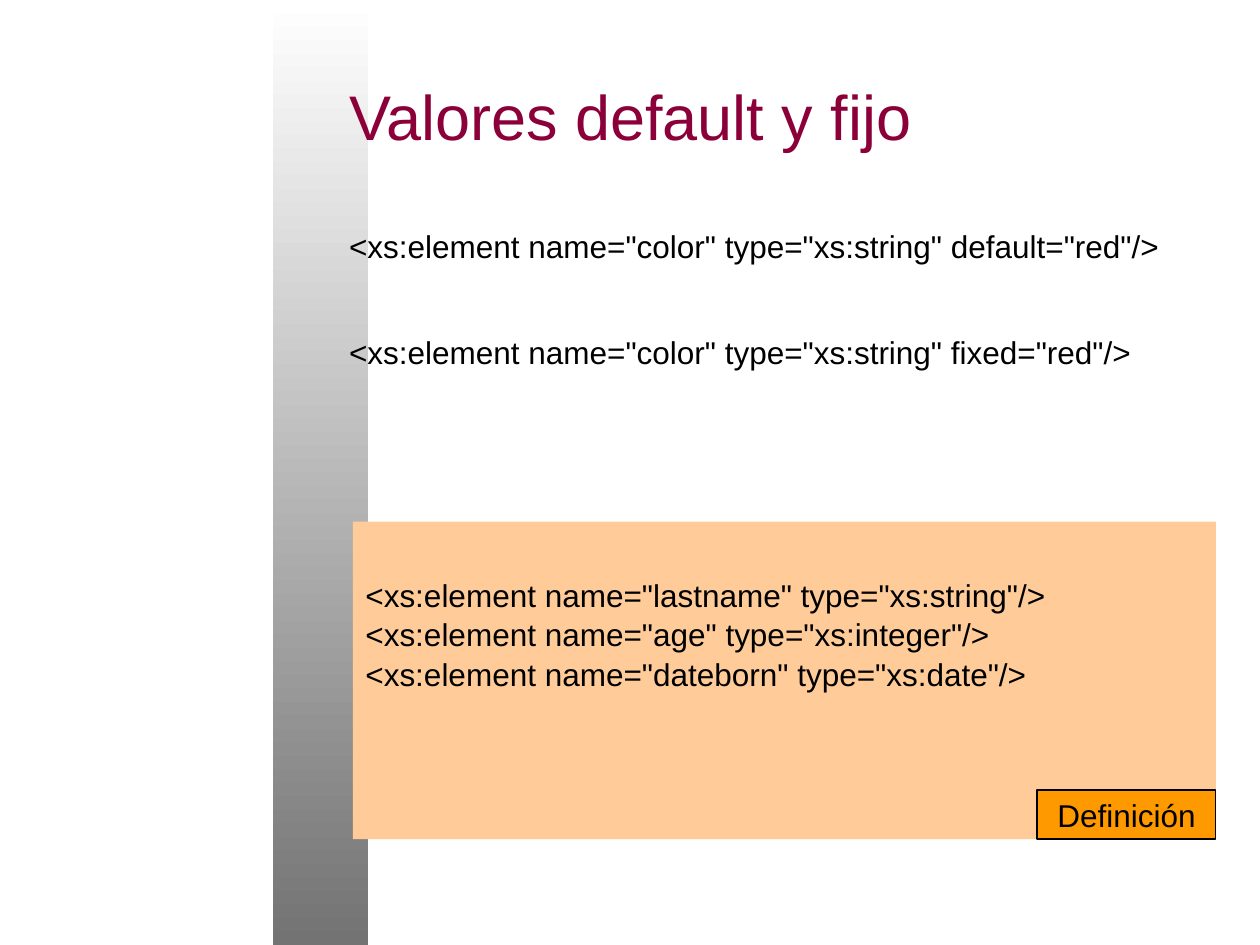
import pptx
import pptx.dml.color
import pptx.enum.shapes
import pptx.enum.text
import pptx.oxml
import pptx.util
from pptx.util import Inches

FONT = "Arial"
COLORS = {
    "background": "FFFFFF",
    "title": "8C0039",
    "text": "000000",
    "band_top": "FFFFFF",
    "band_bottom": "737373",
    "code_panel": "FFCC99",
    "label": "FF9900",
}
ATTRIBUTE_EXAMPLES = [
    '<xs:element name="color" type="xs:string" default="red"/>',
    '<xs:element name="color" type="xs:string" fixed="red"/>',
]
DEFINITIONS = [
    '<xs:element name="lastname" type="xs:string"/>',
    '<xs:element name="age" type="xs:integer"/>',
    '<xs:element name="dateborn" type="xs:date"/>',
]


def rgb(name):
    return pptx.dml.color.RGBColor.from_string(COLORS[name])


def fill_solid(shape, color):
    shape.fill.solid()
    shape.fill.fore_color.rgb = rgb(color)


def place(shape, left, top, width, height):
    shape.left, shape.top = Inches(left), Inches(top)
    shape.width, shape.height = Inches(width), Inches(height)


def format_paragraph(paragraph, size, color, alignment):
    paragraph.alignment = alignment
    paragraph.space_before = pptx.util.Pt(0)
    paragraph.font.name = FONT
    paragraph.font.size = pptx.util.Pt(size)
    paragraph.font.color.rgb = rgb(color)


def write_text(shape, lines, size=18, color="text", gap=0,
               alignment=pptx.enum.text.PP_ALIGN.LEFT):
    frame = shape.text_frame
    frame.auto_size = pptx.enum.text.MSO_AUTO_SIZE.NONE
    frame.text = "\n".join(lines)
    for index, paragraph in enumerate(frame.paragraphs):
        if shape.is_placeholder:
            properties = paragraph._p.get_or_add_pPr()
            properties.set("marL", "0")
            properties.set("indent", "0")
            properties.append(pptx.oxml.parse_xml(
                '<a:buNone xmlns:a="http://schemas.openxmlformats.org/drawingml/2006/main"/>'))
        format_paragraph(paragraph, size, color, alignment)
        if index:
            paragraph.space_before = pptx.util.Pt(gap)


def add_rectangle(slide, left, top, width, height):
    shape = slide.shapes.add_shape(
        pptx.enum.shapes.MSO_SHAPE.RECTANGLE,
        Inches(left), Inches(top), Inches(width), Inches(height))
    shape.shadow.inherit = False
    return shape


def add_band(slide):
    band = add_rectangle(slide, 2.17, 0, 0.75, 7.5)
    band.line.fill.background()
    band.fill.gradient()
    band.fill.gradient_angle = 270
    for stop, color in zip(band.fill.gradient_stops, ("band_top", "band_bottom")):
        stop.color.rgb = rgb(color)
    slide.shapes._spTree.insert(2, band._element)


def add_label(slide, text):
    label = add_rectangle(slide, 8.23, 6.27, 1.42, 0.39)
    fill_solid(label, "label")
    label.line.color.rgb = rgb("text")
    label.line.width = pptx.util.Pt(0.75)
    label.text_frame.word_wrap = False
    label.text_frame.vertical_anchor = pptx.enum.text.MSO_ANCHOR.MIDDLE
    write_text(label, [text], alignment=pptx.enum.text.PP_ALIGN.CENTER)


def main():
    presentation = pptx.Presentation()
    presentation.slide_width = Inches(10)
    presentation.slide_height = Inches(7.5)
    slide = presentation.slides.add_slide(
        presentation.slide_layouts.get_by_name("Two Content"))
    slide.background.fill.solid()
    slide.background.fill.fore_color.rgb = rgb("background")
    title, examples, definitions = list(slide.placeholders)[:3]
    for placeholder in list(slide.placeholders)[3:]:
        placeholder._element.getparent().remove(placeholder._element)

    add_band(slide)

    place(title, 2.67, 0.25, 7, 1.33)
    title.text_frame.vertical_anchor = pptx.enum.text.MSO_ANCHOR.MIDDLE
    write_text(title, ["Valores default y fijo"], size=36, color="title")

    place(examples, 2.67, 1.75, 6.98, 1.69)
    write_text(examples, ATTRIBUTE_EXAMPLES, gap=39)

    place(definitions, 2.8, 4.14, 6.85, 2.52)
    fill_solid(definitions, "code_panel")
    definitions.text_frame.margin_top = Inches(0.43)
    write_text(definitions, DEFINITIONS, gap=1)

    add_label(slide, "Definición")
    presentation.save("out.pptx")


if __name__ == "__main__":
    main()
